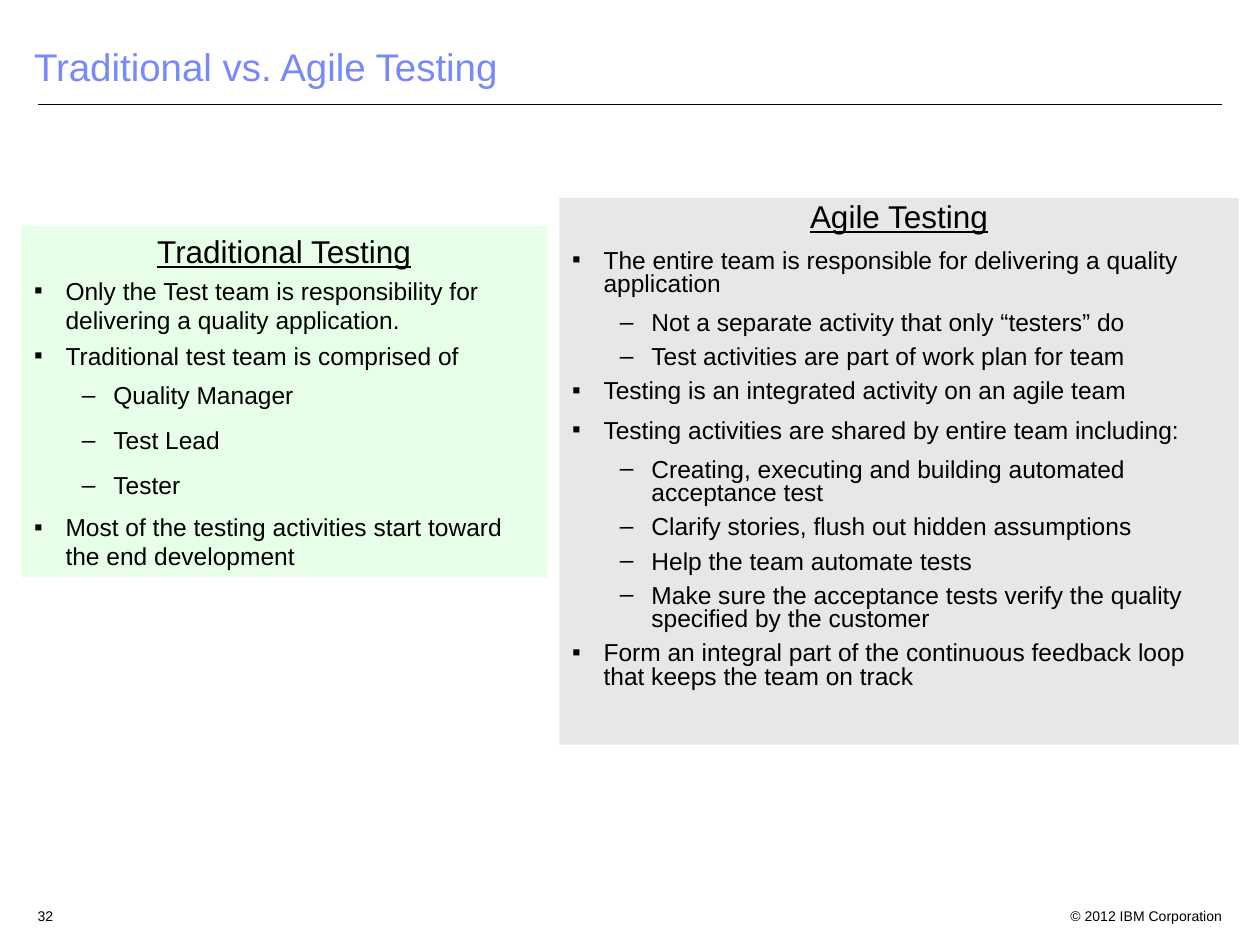
from lxml import etree
from pptx import Presentation
from pptx.dml.color import RGBColor
from pptx.enum.shapes import MSO_CONNECTOR
from pptx.enum.text import MSO_ANCHOR, MSO_AUTO_SIZE, PP_ALIGN
from pptx.oxml.ns import qn
from pptx.util import Inches, Pt

LEFT, CENTER, RIGHT = PP_ALIGN.LEFT, PP_ALIGN.CENTER, PP_ALIGN.RIGHT
TOP, MIDDLE = MSO_ANCHOR.TOP, MSO_ANCHOR.MIDDLE
NO_AUTOFIT = MSO_AUTO_SIZE.NONE
STRAIGHT = MSO_CONNECTOR.STRAIGHT

WIDTH, HEIGHT = 10, 7.5
FONT, INK, TITLE_INK = "Arial", "000000", "7889FB"
OPACITY = 47
HANGING = 0.25
MARGINS = {"margin_left": Inches(0.1), "margin_right": Inches(0.1),
           "margin_top": Inches(0.05), "margin_bottom": Inches(0.05),
           "word_wrap": True, "auto_size": NO_AUTOFIT}
LEVELS = [("▪", 0.25), ("–", 0.63)]

TITLE = "Traditional vs. Agile Testing"
FOOTERS = [
    ("32", (0.2, 7.15, 0.4, 0.2), LEFT),
    ("© 2012 IBM Corporation", (8.3, 7.15, 1.5, 0.2), RIGHT),
]
PANELS = [
    {
        "heading": "Traditional Testing",
        "box": (0.17, 1.79, 4.17, 2.79),
        "fill": "CCFFCC",
        "line_spacing": 1.0,
        "gaps": [(3.5, 0), (5.6, 3.4)],
        "heading_after": 0,
        "points": [
            (0, "Only the Test team is responsibility for delivering a quality application."),
            (0, "Traditional test team is comprised of"),
            (1, "Quality Manager"),
            (1, "Test Lead"),
            (1, "Tester"),
            (0, "Most of the testing activities start toward the end development"),
        ],
    },
    {
        "heading": "Agile Testing",
        "box": (4.44, 1.57, 5.39, 4.34),
        "fill": "CCCCCC",
        "line_spacing": 0.8,
        "gaps": [(6, 3), (6, 0)],
        "heading_after": 3,
        "points": [
            (0, "The entire team is responsible for delivering a quality application"),
            (1, "Not a separate activity that only “testers” do"),
            (1, "Test activities are part of work plan for team"),
            (0, "Testing is an integrated activity on an agile team"),
            (0, "Testing activities are shared by entire team including:"),
            (1, "Creating, executing and building automated acceptance test"),
            (1, "Clarify stories, flush out hidden assumptions"),
            (1, "Help the team automate tests"),
            (1, "Make sure the acceptance tests verify the quality specified by the customer"),
            (0, "Form an integral part of the continuous feedback loop that keeps the team on track"),
        ],
    },
]


def color(value):
    return RGBColor.from_string(value)


def apply(target, values):
    for key, value in values.items():
        setattr(target, key, value)


def place(shape, box):
    apply(shape, dict(zip(("left", "top", "width", "height"), map(Inches, box))))


def write(paragraph, text, size, ink=INK, underline=False, **layout):
    apply(paragraph, layout)
    run = paragraph.add_run()
    run.text = text
    apply(run.font, {"name": FONT, "size": Pt(size), "underline": underline, "bold": False})
    run.font.color.rgb = color(ink)


def set_bullet(paragraph, mark, indent):
    properties = paragraph._p.get_or_add_pPr()
    properties.set("marL", str(Inches(indent)))
    properties.set("indent", str(-Inches(HANGING)))
    if mark is None:
        etree.SubElement(properties, qn("a:buNone"))
        return
    bullet_color = etree.SubElement(properties, qn("a:buClr"))
    etree.SubElement(bullet_color, qn("a:srgbClr"), val=INK)
    etree.SubElement(properties, qn("a:buFont"), typeface=FONT)
    etree.SubElement(properties, qn("a:buChar"), char=mark)


def fill_panel(holder, panel):
    place(holder, panel["box"])
    holder.fill.solid()
    holder.fill.fore_color.rgb = color(panel["fill"])
    tint = holder._element.spPr.find(".//" + qn("a:srgbClr"))
    etree.SubElement(tint, qn("a:alpha"), val=str(OPACITY * 1000))
    frame = holder.text_frame
    apply(frame, {**MARGINS, "vertical_anchor": TOP})

    heading = frame.paragraphs[0]
    set_bullet(heading, None, HANGING)
    write(heading, panel["heading"], 18, underline=True, alignment=CENTER,
          line_spacing=panel["line_spacing"], space_before=Pt(0),
          space_after=Pt(panel["heading_after"]))
    for level, text in panel["points"]:
        point = frame.add_paragraph()
        set_bullet(point, *LEVELS[level])
        before, after = panel["gaps"][level]
        write(point, text, 14, level=level, alignment=LEFT,
              line_spacing=panel["line_spacing"],
              space_before=Pt(before), space_after=Pt(after))


def main():
    deck = Presentation()
    apply(deck, {"slide_width": Inches(WIDTH), "slide_height": Inches(HEIGHT)})
    slide = deck.slides.add_slide(deck.slide_layouts[3])

    rule = slide.shapes.add_connector(STRAIGHT, *map(Inches, (0.3, 0.83, WIDTH - 0.3, 0.83)))
    rule.line.color.rgb = color(INK)
    rule.line.width = Pt(0.75)
    etree.SubElement(rule._element.spPr, qn("a:effectLst"))

    for text, box, alignment in FOOTERS:
        footer = slide.shapes.add_textbox(*map(Inches, box))
        apply(footer.text_frame, MARGINS)
        write(footer.text_frame.paragraphs[0], text, 8, alignment=alignment)

    title, *bodies = slide.placeholders
    for holder, panel in zip(bodies, PANELS):
        fill_panel(holder, panel)

    place(title, (0.17, 0.33, WIDTH - 0.17, 0.43))
    apply(title.text_frame, {**MARGINS, "vertical_anchor": MIDDLE})
    write(title.text_frame.paragraphs[0], TITLE, 22, TITLE_INK, alignment=LEFT, line_spacing=0.9)

    deck.save("out.pptx")


if __name__ == "__main__":
    main()
